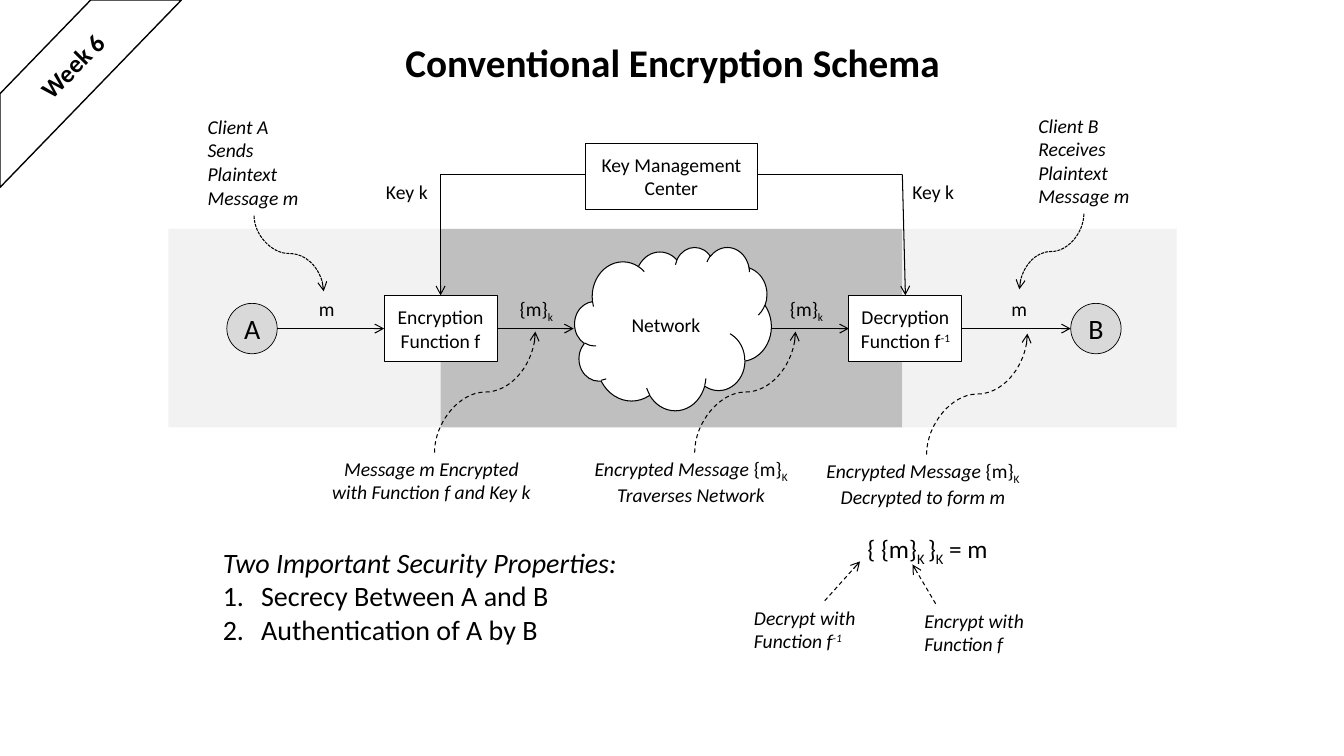
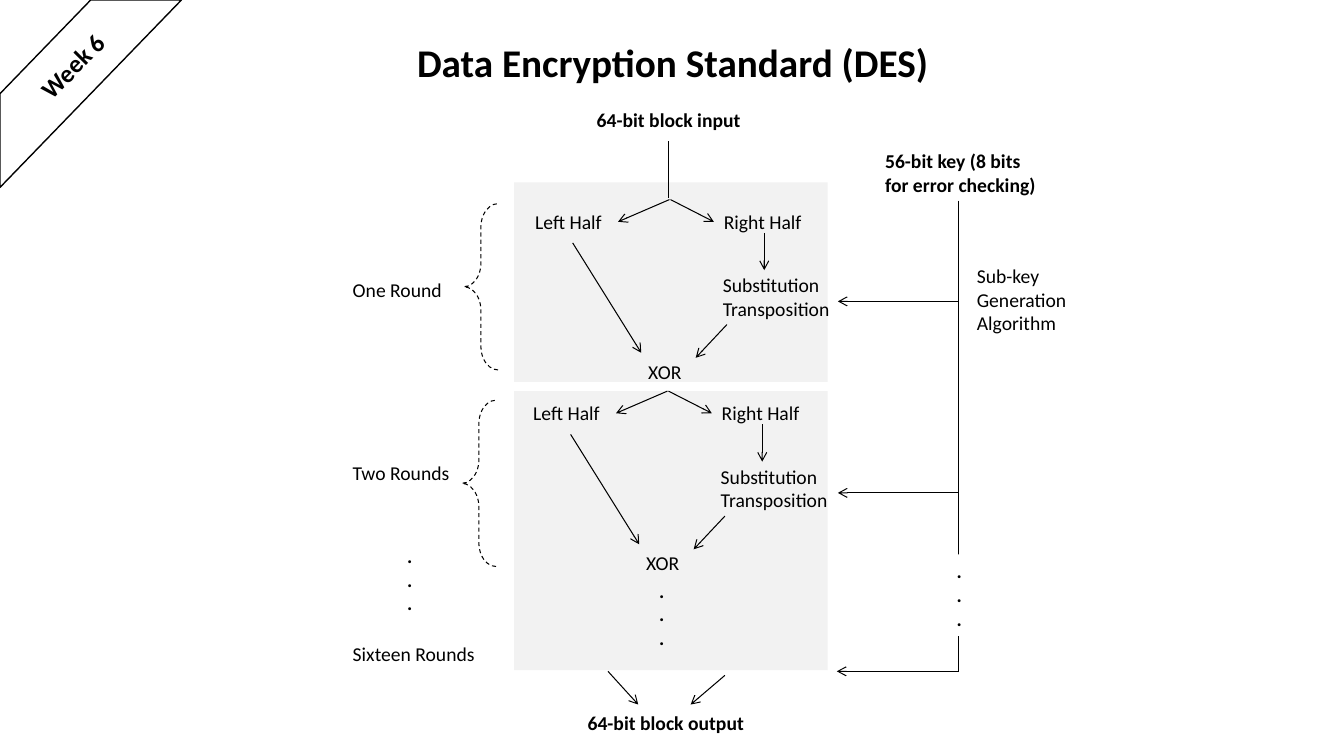
from lxml import etree
from pptx import Presentation
from pptx.dml.color import RGBColor
from pptx.enum.dml import MSO_LINE as DASH
from pptx.enum.shapes import MSO_CONNECTOR as LINK, MSO_SHAPE as SHAPE
from pptx.enum.text import MSO_ANCHOR as ANCHOR, MSO_AUTO_SIZE as FIT, PP_ALIGN as ALIGN
from pptx.oxml.ns import qn
from pptx.util import Inches, Pt

BLACK = RGBColor(0x00, 0x00, 0x00)
WHITE = RGBColor(0xFF, 0xFF, 0xFF)
PALE = RGBColor(0xF2, 0xF2, 0xF2)
LIGHT = RGBColor(0xD9, 0xD9, 0xD9)
MIDDLE = RGBColor(0xBF, 0xBF, 0xBF)
FONT = "Calibri"
TOP, LEFT, RIGHT = 0, 1, 3  # connection sites of a rectangle


def sub(text, **options):
    return text, {"baseline": -25, **options}


def sup(text):
    return text, {"baseline": 30}


def upright(text):
    return text, {"italic": False}


def write_span(para, text, size=14, bold=False, italic=False, baseline=0):
    span = para.add_run()
    span.text = text
    span.font.name = FONT
    span.font.size = Pt(size)
    span.font.bold = bold
    span.font.italic = italic
    span.font.color.rgb = BLACK
    if baseline:
        span.font._element.set("baseline", str(baseline * 1000))


def write(frame, lines, align=ALIGN.LEFT, **style):
    """Each line is a string or a list of strings and (string, options) pairs."""
    for index, line in enumerate(lines):
        para = frame.paragraphs[0] if index == 0 else frame.add_paragraph()
        para.alignment = align
        for part in [line] if isinstance(line, str) else line:
            text, options = (part, {}) if isinstance(part, str) else part
            write_span(para, text, **{**style, **options})


class Sketch:
    """Holds the deck, its style and the current slide."""

    def __init__(self):
        self.deck = Presentation()
        self.deck.slide_width = Inches(13.33)
        self.deck.slide_height = Inches(7.5)
        self.page = None

    def add_page(self, title, layout):
        self.page = self.deck.slides.add_slide(self.deck.slide_layouts[layout])
        frame = self.place(self.page.shapes.title, 2.17, 0.02, 9, 1.25)
        frame.vertical_anchor = ANCHOR.MIDDLE
        write(frame, [title], ALIGN.CENTER, size=28, bold=True)
        frame.paragraphs[0].line_spacing = 0.9
        # Corner ribbon
        self.shape(SHAPE.DIAGONAL_STRIPE, 0, 0, 1.8, 1.86, WHITE, line=1)
        week = self.label(0.23, 0.45, 0.98, 0.4, "Week 6", size=18, bold=True)
        week.rotation = 314.8

    def place(self, holder, x, y, width, height):
        holder.left, holder.top = Inches(x), Inches(y)
        holder.width, holder.height = Inches(width), Inches(height)
        holder.text_frame.auto_size = FIT.NONE
        return holder.text_frame

    def numbered_list(self, x, y, width, height, heading, items):
        frame = self.place(self.page.placeholders[1], x, y, width, height)
        frame.vertical_anchor = ANCHOR.TOP
        write(frame, [[(heading, {"italic": True})], *items], size=20)
        for index, para in enumerate(frame.paragraphs):
            para.space_before = Pt(0)
            props = para._p.get_or_add_pPr()
            indent = Inches(0.38) if index else 0
            props.set("marL", str(indent))
            props.set("indent", str(-indent))
            if index:
                etree.SubElement(props, qn("a:buAutoNum")).set("type", "arabicPeriod")
            else:
                etree.SubElement(props, qn("a:buNone"))

    def shape(self, kind, x, y, width, height, fill=None, line=0, lines=(), size=14):
        box = self.page.shapes.add_shape(
            kind, Inches(x), Inches(y), Inches(width), Inches(height))
        box.shadow.inherit = False
        if fill is None:
            box.fill.background()
        else:
            box.fill.solid()
            box.fill.fore_color.rgb = fill
        if line:
            box.line.color.rgb = BLACK
            box.line.width = Pt(line)
        else:
            box.line.fill.background()
        box.text_frame.vertical_anchor = ANCHOR.MIDDLE
        if lines:
            write(box.text_frame, lines, ALIGN.CENTER, size=size)
        return box

    def label(self, x, y, width, height, *lines, align=ALIGN.LEFT, **style):
        box = self.page.shapes.add_textbox(
            Inches(x), Inches(y), Inches(width), Inches(height))
        box.text_frame.word_wrap = False
        box.text_frame.auto_size = FIT.SHAPE_TO_FIT_TEXT
        write(box.text_frame, lines, align, **style)
        return box

    def dots(self, x, y):
        return self.label(x, y, 0.3, 0.81, ".", ".", ".", bold=True)

    def brace(self, x, y):
        brace = self.shape(SHAPE.LEFT_BRACE, x, y, 0.34, 1.65, line=0.75)
        brace.adjustments[0] = 0.69
        brace.line.dash_style = DASH.DASH

    def line(self, start, end, head=True, dash=None, kind=LINK.STRAIGHT):
        link = self.page.shapes.add_connector(
            kind, *(Inches(value) for value in (*start, *end)))
        link.line.color.rgb = BLACK
        link.line.width = Pt(0.75)
        if dash:
            link.line.dash_style = dash
        if head:
            etree.SubElement(link.line._get_or_add_ln(), qn("a:tailEnd")).set("type", "arrow")
        etree.SubElement(link._element.spPr, qn("a:effectLst"))
        return link

    def curve(self, start, end, dash=DASH.DASH):
        """An S-curve that leaves and arrives vertically: a turned connector."""
        link = self.line(start, end, dash=dash, kind=LINK.CURVE)
        (x1, y1), (x2, y2) = start, end
        width, height = abs(y2 - y1), abs(x2 - x1)
        link.left = Inches((x1 + x2 - width) / 2)
        link.top = Inches((y1 + y2 - height) / 2)
        link.width, link.height = Inches(width), Inches(height)
        rightward, rising = x2 > x1, y2 < y1
        frame = link._element.spPr.find(qn("a:xfrm"))
        frame.set("rot", str((270 if rightward and not rising else 90) * 60000))
        frame.set("flipH", str(int(rightward)))
        frame.set("flipV", str(int(rising)))


def draw_schema(sketch):
    sketch.add_page("Conventional Encryption Schema", layout=1)
    center = ALIGN.CENTER
    middle = 3.26

    # Zones
    for x, width, fill in ((1.67, 2.7, PALE), (4.37, 4.58, MIDDLE), (8.95, 2.72, PALE)):
        sketch.shape(SHAPE.RECTANGLE, x, 2.27, width, 1.97, fill)

    # Clients, network, functions and key center
    sketch.line((4.37, 1.73), (8.95, 1.73), head=False)
    for x, name in ((2.25, "A"), (10.62, "B")):
        sketch.shape(SHAPE.OVAL, x, 3.01, 0.5, 0.5, LIGHT, 0.5, [name], size=20)
    sketch.shape(SHAPE.CLOUD, 5.7, 2.45, 1.95, 1.62, WHITE, 0.75, ["Network"])
    encryption, decryption, _ = [
        sketch.shape(SHAPE.RECTANGLE, x, y, width, 0.66, WHITE, 0.75, lines)
        for x, y, width, lines in (
            (3.81, 2.93, 1.12, ["Encryption", "Function f"]),
            (8.39, 2.93, 1.12, ["Decryption", ["Function f", sup("-1")]]),
            (5.81, 1.42, 1.7, ["Key Management", "Center"]))]
    decryption.left = Inches(8.42)

    # Key delivery
    for x, text_x, target in ((4.37, 3.73, encryption), (8.95, 8.95, decryption)):
        sketch.label(text_x, 1.74, 0.62, 0.34, "Key k")
        sketch.line((x, 1.73), (x, 2.93)).end_connect(target, TOP)

    # Message flow
    for x1, x2, source, target in (
            (2.75, 3.81, None, encryption), (4.93, 5.69, encryption, None),
            (7.65, 8.42, None, decryption), (9.54, 10.62, decryption, None)):
        arrow = sketch.line((x1, middle), (x2, middle))
        if source:
            arrow.begin_connect(source, RIGHT)
        if target:
            arrow.end_connect(target, LEFT)
    for x in (3.06, 9.93):
        sketch.label(x, 2.9, 0.36, 0.34, "m", align=center)
    for x in (5.05, 7.73):
        sketch.label(x, 2.9, 0.54, 0.34, ["{m}", sub("k")], align=center)

    # Explanations
    for x, y, name, verb in ((1.96, 1.09, "A", "Sends"), (10.2, 1.08, "B", "Receives")):
        sketch.label(x, y, 1.11, 1.04, f"Client {name}", verb, "Plaintext",
                     "Message m", italic=True)
    sketch.curve((2.52, 2.14), (3.21, 2.89), DASH.SQUARE_DOT)
    sketch.curve((10.75, 2.12), (10.11, 2.87), DASH.SQUARE_DOT)
    for x, y in ((4.31, 4.49), (6.89, 4.49), (9.19, 4.51)):
        sketch.curve((x, y), (x + 1, y - 1.2))
    encrypted = ["Encrypted Message ", upright("{m}"), sub("K", italic=False)]
    sketch.label(3.16, 4.48, 2.24, 0.57, "Message m Encrypted",
                 "with Function f and Key k", align=center, italic=True)
    sketch.label(5.77, 4.48, 2.17, 0.57, encrypted, "Traverses Network",
                 align=center, italic=True)
    sketch.label(8.07, 4.5, 2.17, 0.57, encrypted, "Decrypted to form m",
                 align=center, italic=True)

    # Equation
    sketch.label(8.45, 5.24, 1.5, 0.4,
                 ["{ {m}", sub("K "), "}", sub("K"), " = m"], align=center, size=18)
    sketch.label(9.07, 5.99, 1.25, 0.57, "Encrypt with", "Function f", italic=True)
    sketch.label(7.38, 5.96, 1.26, 0.57, "Decrypt with", ["Function f", sup("-1")],
                 italic=True)
    sketch.line((9.28, 5.99), (9.05, 5.6), dash=DASH.DASH)
    sketch.line((8.18, 5.96), (8.53, 5.57), dash=DASH.DASH)

    sketch.numbered_list(2.11, 5.36, 4.21, 1.11, "Two Important Security Properties:",
                         ["Secrecy Between A and B", "Authentication of A by B"])


def draw_round(sketch, dx, dy):
    """One round of the cipher, moved by dx and dy from the first."""
    for x, y, width, height, *lines in (
            (5.21, 2.03, 0.87, 0.34, "Left Half"),
            (7.08, 2.03, 0.98, 0.34, "Right Half"),
            (7.07, 2.66, 1.28, 0.57, "Substitution", "Transposition"),
            (6.33, 3.52, 0.54, 0.34, "XOR")):
        sketch.label(x + dx, y + dy, width, height, *lines)
    for x1, y1, x2, y2 in (
            (6.64, 1.98, 6.13, 2.2), (6.65, 1.98, 7.08, 2.2), (7.58, 2.31, 7.58, 2.68),
            (5.68, 2.41, 6.36, 3.5), (7.21, 3.22, 6.9, 3.55)):
        sketch.line((x1 + dx, y1 + dy), (x2 + dx, y2 + dy))
    sketch.line((9.51, 2.99 + dy), (8.31, 2.99 + dy))


def draw_des(sketch):
    sketch.add_page("Data Encryption Standard (DES)", layout=5)

    # Panels
    for y, height in ((1.81, 1.98), (3.88, 2.77)):
        sketch.shape(SHAPE.RECTANGLE, 5.1, y, 3.11, height, PALE)

    # Input, output and key
    sketch.label(5.82, 1.02, 1.65, 0.34, "64-bit block input", bold=True)
    sketch.label(5.73, 7, 1.77, 0.34, "64-bit block output", bold=True)
    sketch.label(8.68, 1.43, 1.71, 0.57, "56-bit key (8 bits", "for error checking)",
                 bold=True)
    sketch.label(9.59, 2.57, 1.1, 0.81, "Sub-key", "Generation", "Algorithm")
    sketch.line((6.63, 1.4), (6.63, 1.96), head=False)
    sketch.line((9.51, 1.99), (9.51, 6.66), head=False)
    sketch.line((9.51, 6.66), (8.3, 6.66))
    sketch.line((7.19, 6.7), (6.85, 6.99))
    sketch.line((6.03, 6.66), (6.33, 6.99))

    # Rounds
    draw_round(sketch, 0, 0)
    draw_round(sketch, -0.02, 1.9)
    sketch.brace(4.6, 2.02)
    sketch.brace(4.58, 3.97)
    for y, width, name in ((2.71, 1.14, "One Round"), (4.52, 1.21, "Two Rounds"),
                           (6.32, 1.47, "Sixteen Rounds")):
        sketch.label(3.4, y, width, 0.34, name)

    # Continuation dots; the last ones interrupt the key line
    sketch.dots(3.94, 5.35)
    sketch.dots(6.44, 5.69)
    gap = sketch.dots(9.39, 5.5)
    gap.fill.solid()
    gap.fill.fore_color.rgb = WHITE


def main():
    sketch = Sketch()
    draw_schema(sketch)
    draw_des(sketch)
    sketch.deck.save("out.pptx")


if __name__ == "__main__":
    main()
